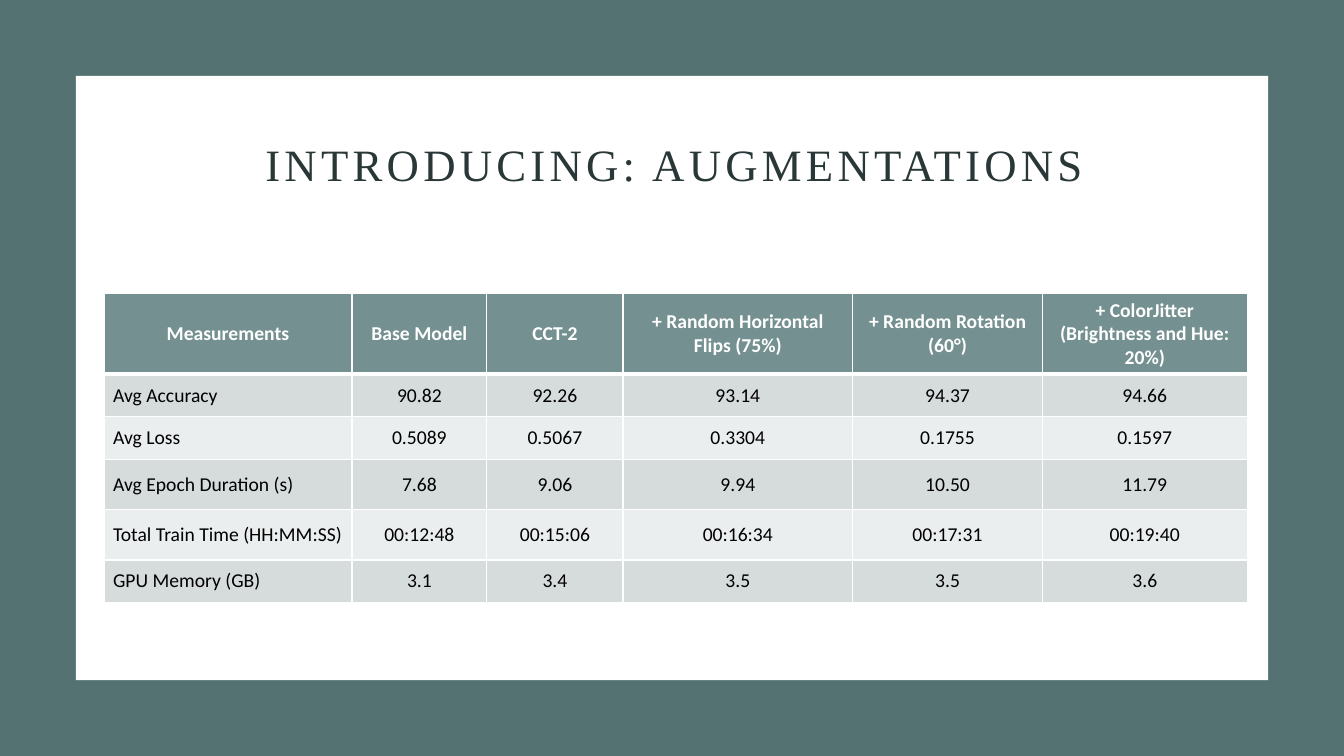
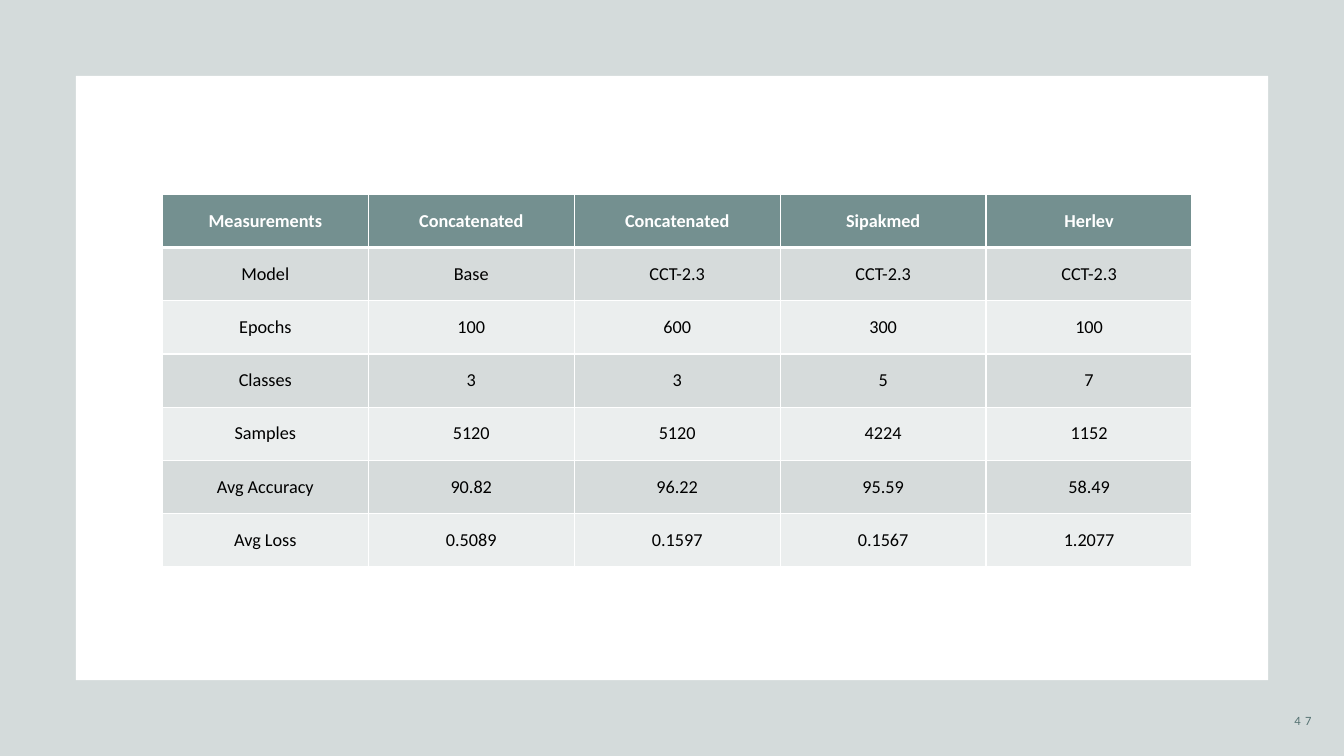
from lxml import etree
from pptx import Presentation
from pptx.dml.color import RGBColor
from pptx.enum.shapes import MSO_SHAPE
from pptx.enum.text import MSO_ANCHOR, PP_ALIGN
from pptx.oxml.ns import qn
from pptx.util import Cm, Pt

RECT = MSO_SHAPE.RECTANGLE
MIDDLE = MSO_ANCHOR.MIDDLE
LEFT, CENTER, RIGHT = PP_ALIGN.LEFT, PP_ALIGN.CENTER, PP_ALIGN.RIGHT

HUES = {
    "teal": "557272",
    "head": "749090",
    "odd": "D6DBDB",
    "even": "EBEEEE",
    "title": "293737",
    "white": "FFFFFF",
    "black": "000000",
}
WIDE, HIGH, EDGE = 33.87, 19.05, 1.91

SLIDES = [
    {
        "alpha": 100,
        "texts": [
            {"text": "INTRODUCING: AUGMENTATIONS", "box": (3.81, 2.97, 26.37, 2.49),
             "font": "Times New Roman", "size": 32, "hue": "title",
             "align": CENTER, "line": 0.9},
        ],
        "table": {
            "at": (2.62, 7.39), "size": 14, "pad": 0.13, "side": LEFT,
            "cols": [6.25, 3.4, 3.43, 5.79, 4.78, 5.16],
            "rows": [2.03, 1.07, 1.07, 1.27, 1.27, 1.07],
            "data": [
                ["Measurements", "Base Model", "CCT-2", "+ Random Horizontal Flips (75%)",
                 "+ Random Rotation (60°)", "+ ColorJitter (Brightness and Hue: 20%)"],
                ["Avg Accuracy", "90.82", "92.26", "93.14", "94.37", "94.66"],
                ["Avg Loss", "0.5089", "0.5067", "0.3304", "0.1755", "0.1597"],
                ["Avg Epoch Duration (s)", "7.68", "9.06", "9.94", "10.50", "11.79"],
                ["Total Train Time (HH:MM:SS)", "00:12:48", "00:15:06", "00:16:34",
                 "00:17:31", "00:19:40"],
                ["GPU Memory (GB)", "3.1", "3.4", "3.5", "3.5", "3.6"],
            ],
        },
    },
    {
        "alpha": 25,
        "texts": [
            {"text": "47", "box": (30.89, 17.65, 2.41, 1.02),
             "font": "Calibri", "size": 9, "hue": "teal",
             "align": RIGHT, "line": 1.0},
        ],
        "table": {
            "at": (4.09, 4.9), "size": 13, "pad": 0.1, "side": CENTER,
            "cols": [5.19] * 5,
            "rows": [1.34] * 7,
            "data": [
                ["Measurements", "Concatenated", "Concatenated", "Sipakmed", "Herlev"],
                ["Model", "Base", "CCT-2.3", "CCT-2.3", "CCT-2.3"],
                ["Epochs", "100", "600", "300", "100"],
                ["Classes", "3", "3", "5", "7"],
                ["Samples", "5120", "5120", "4224", "1152"],
                ["Avg Accuracy", "90.82", "96.22", "95.59", "58.49"],
                ["Avg Loss", "0.5089", "0.1597", "0.1567", "1.2077"],
            ],
        },
    },
]


def paint(fill, hue, alpha=100):
    fill.solid()
    fill.fore_color.rgb = RGBColor.from_string(HUES[hue])
    if alpha < 100:
        tint = fill._xPr.find(".//" + qn("a:srgbClr"))
        etree.SubElement(tint, qn("a:alpha")).set("val", str(alpha * 1000))


def write(frame, text, align, hue, form):
    para = frame.paragraphs[0]
    para.alignment = align
    run = para.add_run()
    run.text = text
    for name, value in form.items():
        setattr(run.font, name, value)
    run.font.color.rgb = RGBColor.from_string(HUES[hue])
    return para, run


deck = Presentation()
deck.slide_width, deck.slide_height = Cm(WIDE), Cm(HIGH)

for plan in SLIDES:
    slide = deck.slides.add_slide(deck.slide_layouts[6])
    for edge, hue, alpha in ((0, "teal", plan["alpha"]), (EDGE, "white", 100)):
        panel = slide.shapes.add_shape(
            RECT, Cm(edge), Cm(edge), Cm(WIDE - 2 * edge), Cm(HIGH - 2 * edge))
        panel.shadow.inherit = False
        panel.line.fill.background()
        paint(panel.fill, hue, alpha)

    for item in plan["texts"]:
        frame = slide.shapes.add_textbox(*map(Cm, item["box"])).text_frame
        frame.word_wrap = True
        frame.vertical_anchor = MIDDLE
        form = {"name": item["font"], "size": Pt(item["size"])}
        para, run = write(frame, item["text"], item["align"], item["hue"], form)
        para.line_spacing = item["line"]
        run._r.get_or_add_rPr().set("spc", "300")

    spec = plan["table"]
    cols, rows, data = spec["cols"], spec["rows"], spec["data"]
    table = slide.shapes.add_table(
        len(rows), len(cols), *map(Cm, spec["at"]), Cm(sum(cols)), Cm(sum(rows))).table
    for col, width in zip(table.columns, cols):
        col.width = Cm(width)
    for row, height in zip(table.rows, rows):
        row.height = Cm(height)

    for r, line in enumerate(data):
        head = r == 0
        band = "head" if head else "odd" if r % 2 else "even"
        form = {"name": "Calibri", "size": Pt(spec["size"]), "bold": head}
        for c, text in enumerate(line):
            cell = table.cell(r, c)
            props = {"vertical_anchor": MIDDLE,
                     "margin_left": Cm(0.23), "margin_right": Cm(0.23),
                     "margin_top": Cm(spec["pad"]), "margin_bottom": Cm(spec["pad"])}
            for name, value in props.items():
                setattr(cell, name, value)
            sides = {"L": 1, "R": 1, "T": 3 if r == 1 else 1, "B": 3 if head else 1}
            for side, points in sides.items():
                rule = etree.SubElement(cell._tc.get_or_add_tcPr(), qn("a:ln" + side))
                rule.set("w", str(Pt(points)))
                solid = etree.SubElement(rule, qn("a:solidFill"))
                etree.SubElement(solid, qn("a:srgbClr")).set("val", HUES["white"])
            paint(cell.fill, band)
            align = spec["side"] if c == 0 and not head else CENTER
            write(cell.text_frame, text, align, "white" if head else "black", form)

deck.save("out.pptx")
